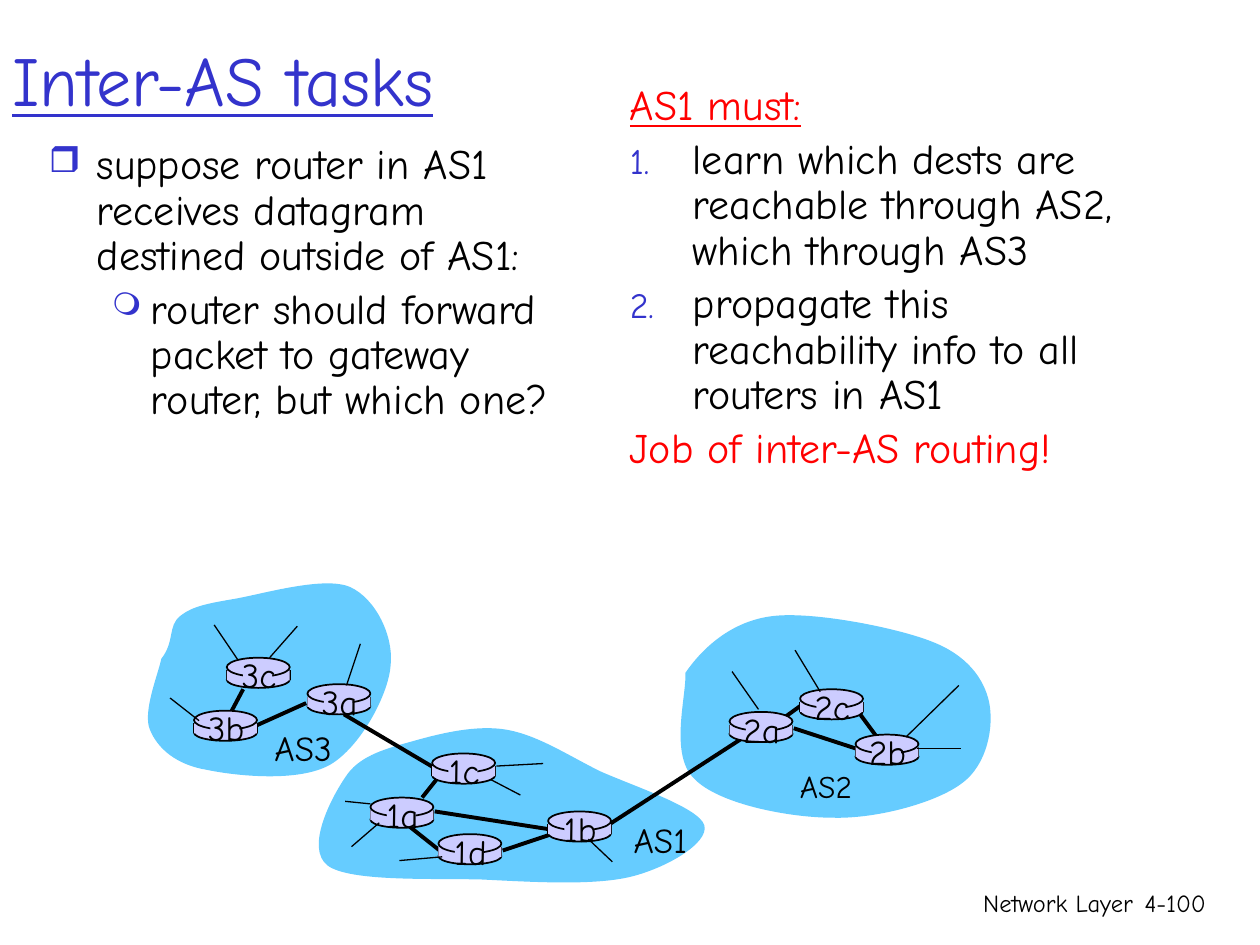
from lxml import etree
from pptx import Presentation
from pptx.dml.color import RGBColor
from pptx.enum.shapes import MSO_CONNECTOR as Conn, MSO_SHAPE as Kind
from pptx.enum.text import MSO_ANCHOR as Anchor, PP_ALIGN as Align
from pptx.oxml.ns import qn
from pptx.util import Inches, Pt

FONT = "Comic Neue"
BLACK = RGBColor(0, 0, 0)
BLUE = RGBColor(0x33, 0x33, 0xCC)
RED = RGBColor(0xFF, 0, 0)
SKY = RGBColor(0x66, 0xCC, 0xFF)
LILAC = RGBColor(0xCC, 0xCC, 0xFF)

# Body text: text, colour, underline, (margin, hang), bullet, bullet size
TASK = [
    ("suppose router in AS1 receives datagram destined outside of AS1:",
     BLACK, False, (0.38, 0.38), "❒", 85),
    ("router should forward packet to gateway router, but which one?",
     BLACK, False, (0.81, 0.31), "❍", 75),
]
MUST = [
    ("AS1 must:", RED, True, (0.5, 0.5), None, 0),
    ("learn which dests are reachable through AS2, which through AS3",
     BLACK, False, (0.5, 0.5), "auto", 85),
    ("propagate this reachability info to all routers in AS1",
     BLACK, False, (0.5, 0.5), "auto", 85),
    ("Job of inter-AS routing!", RED, False, (0.5, 0.5), None, 0),
]

# Clouds: start point, then three points for each curve
CLOUDS = [
    [(5.44, 5.34),
     (5.57, 5.15), (5.8, 4.93), (6.13, 4.89), (6.45, 4.85), (7.11, 4.98), (7.39, 5.09),
     (7.68, 5.2), (7.81, 5.39), (7.85, 5.57), (7.89, 5.76), (7.84, 6.07), (7.63, 6.22),
     (7.43, 6.37), (6.96, 6.5), (6.61, 6.49), (6.26, 6.49), (5.7, 6.38), (5.51, 6.18),
     (5.31, 5.99), (5.45, 5.52), (5.44, 5.34)],
    [(1.28, 5.23),
     (1.39, 5.09), (1.33, 4.97), (1.43, 4.89), (1.53, 4.81), (1.65, 4.79), (1.88, 4.75),
     (2.1, 4.71), (2.58, 4.57), (2.78, 4.66), (2.98, 4.75), (3.13, 5.05), (3.1, 5.29),
     (3.08, 5.52), (2.86, 5.93), (2.62, 6.07), (2.37, 6.21), (1.88, 6.16), (1.64, 6.11),
     (1.4, 6.07), (1.25, 5.94), (1.19, 5.79), (1.13, 5.65), (1.26, 5.34), (1.28, 5.23)],
    [(2.74, 6.17),
     (2.84, 6.01), (3.03, 5.95), (3.25, 5.89), (3.46, 5.83), (3.76, 5.75), (4.01, 5.79),
     (4.26, 5.83), (4.5, 5.99), (4.76, 6.12), (5.03, 6.24), (5.55, 6.41), (5.59, 6.55),
     (5.63, 6.69), (5.29, 6.89), (5, 6.96), (4.7, 7.03), (4.22, 7), (3.82, 6.98),
     (3.42, 6.97), (2.78, 7), (2.6, 6.87), (2.42, 6.73), (2.63, 6.33), (2.74, 6.17)],
]
AREAS = [("AS3", 2.08, 5.72, 0.77, 20), ("AS1", 4.93, 6.45, 0.72, 20),
         ("AS2", 6.25, 6.04, 0.71, 18)]

# Routers: left and top of the upper disc
ROUTERS = {
    "3b": (1.54, 5.64), "1d": (3.48, 6.62), "3a": (2.44, 5.43),
    "1c": (3.43, 5.98), "2a": (5.79, 5.65), "1a": (2.94, 6.33),
    "2c": (6.35, 5.47), "2b": (6.79, 5.83), "1b": (4.35, 6.44),
    "3c": (1.8, 5.22),
}
LINKS = [
    (6.3, 5.78, 6.79, 5.94), (6.82, 5.66, 6.96, 5.85), (6.19, 5.72, 6.37, 5.59),
    (3.99, 6.75, 4.41, 6.61), (3.25, 6.56, 3.49, 6.75), (3.45, 6.44, 4.35, 6.58),
    (3.35, 6.33, 3.47, 6.18), (2.03, 5.76, 2.43, 5.58), (2.73, 5.67, 3.44, 6.09),
    (4.84, 6.54, 5.89, 5.86), (1.93, 5.47, 1.84, 5.64),
]
SPURS = [
    (1.35, 5.54, 1.58, 5.72), (2.36, 4.97, 2.14, 5.22), (1.7, 4.96, 1.89, 5.24),
    (2.86, 5.11, 2.75, 5.44), (7.28, 5.94, 7.63, 5.94), (7.19, 5.85, 7.61, 5.44),
    (6.51, 5.49, 6.31, 5.16), (6.02, 5.63, 5.81, 5.33), (3.01, 6.53, 2.79, 6.72),
    (2.94, 6.38, 2.74, 6.36), (3.51, 6.8, 3.17, 6.83), (3.94, 6.08, 4.31, 6.06),
    (4.67, 6.66, 4.86, 6.84), (3.9, 6.19, 4.13, 6.31),
]

deck = Presentation()
deck.slide_width, deck.slide_height = Inches(10), Inches(7.5)
shapes = deck.slides.add_slide(deck.slide_layouts[6]).shapes


def style(para, size, color=BLACK, under=False):
    for run in para.runs:
        run.font.name, run.font.size = FONT, Pt(size)
        run.font.color.rgb = color
        run.font.underline = under


def add_text(text, x, y, w, h, size, color=BLACK, under=False,
             align=Align.LEFT, wrap=False, anchor=Anchor.TOP):
    frame = shapes.add_textbox(*map(Inches, (x, y, w, h))).text_frame
    frame.text, frame.word_wrap, frame.vertical_anchor = text, wrap, anchor
    frame.paragraphs[0].alignment = align
    style(frame.paragraphs[0], size, color, under)


def add_bullet(props, mark, size):
    def sub(tag, parent=props, **attrs):
        return etree.SubElement(parent, qn(tag), **attrs)

    if mark is None:
        sub("a:buNone")
        return
    sub("a:srgbClr", sub("a:buClr"), val=str(BLUE))
    sub("a:buSzPct", val=str(size * 1000))
    if mark == "auto":
        sub("a:buAutoNum", type="arabicPeriod")
    else:
        sub("a:buChar", char=mark)


def add_body(items, x, y, w, h):
    frame = shapes.add_textbox(*map(Inches, (x, y, w, h))).text_frame
    frame.word_wrap = True
    for i, (text, color, under, (left, hang), mark, size) in enumerate(items):
        para = frame.add_paragraph() if i else frame.paragraphs[0]
        para.text = text
        props = para._p.get_or_add_pPr()
        props.set("marL", str(Inches(left)))
        props.set("indent", str(-Inches(hang)))
        add_bullet(props, mark, size)
        para.line_spacing = 0.9
        if i:
            para.space_before = Pt(4.8)
        style(para, 24, color, under)


def add_line(x1, y1, x2, y2, width):
    line = shapes.add_connector(Conn.STRAIGHT, *map(Inches, (x1, y1, x2, y2)))
    line.line.color.rgb, line.line.width = BLACK, Pt(width)
    etree.SubElement(line._element.spPr, qn("a:effectLst"))


def paint(shape, color, edge=False):
    shape.shadow.inherit = False
    shape.fill.solid()
    shape.fill.fore_color.rgb = color
    if edge:
        shape.line.color.rgb, shape.line.width = BLACK, Pt(1)
    else:
        shape.line.fill.background()


def add_part(kind, x, y, w, h, edge=False):
    paint(shapes.add_shape(kind, *map(Inches, (x, y, w, h))), LILAC, edge)


def add_cloud(points):
    start, *rest = [(Inches(x), Inches(y)) for x, y in points]
    pen = shapes.build_freeform(*start)
    pen.add_line_segments(rest, close=True)
    cloud = pen.convert_to_shape()
    # Join each three straight steps into one curve
    steps = list(cloud._element.iter(qn("a:lnTo")))
    for i in range(0, len(steps), 3):
        curve = etree.Element(qn("a:cubicBezTo"))
        steps[i].addprevious(curve)
        for step in steps[i:i + 3]:
            curve.append(step[0])
            step.getparent().remove(step)
    paint(cloud, SKY)


def add_router(name, x, y):
    add_part(Kind.OVAL, x, y + 0.11, 0.5, 0.13, True)
    for side in (x, x + 0.5):
        add_line(side, y + 0.1, side, y + 0.18, 1)
    add_part(Kind.RECTANGLE, x, y + 0.1, 0.5, 0.08)
    add_part(Kind.OVAL, x, y, 0.5, 0.15, True)
    add_part(Kind.RECTANGLE, x + 0.13, y + 0.02, 0.23, 0.19)
    add_text(name, x, y - 0.08, 0.51, 0.43, 20, align=Align.CENTER)


# Network
for cloud in CLOUDS:
    add_cloud(cloud)
for link in LINKS:
    add_line(*link, 2.25)
for name, place in ROUTERS.items():
    add_router(name, *place)
for spur in SPURS:
    add_line(*spur, 0.75)
for name, x, y, w, size in AREAS:
    add_text(name, x, y, w, 0.43, size)

# Title, text and footer
add_text("Inter-AS tasks", 0, 0, 8.5, 1.25, 40, BLUE, True,
         wrap=True, anchor=Anchor.MIDDLE)
add_body(TASK, 0.29, 1.09, 4.17, 3.19)
add_body(MUST, 4.9, 0.62, 4.17, 5.08)
add_text("Network Layer", 5.92, 7, 3.17, 0.5, 14, align=Align.RIGHT, wrap=True)
add_text("4-100", 8.93, 7, 0.74, 0.5, 14, align=Align.RIGHT, wrap=True)

deck.save("out.pptx")
